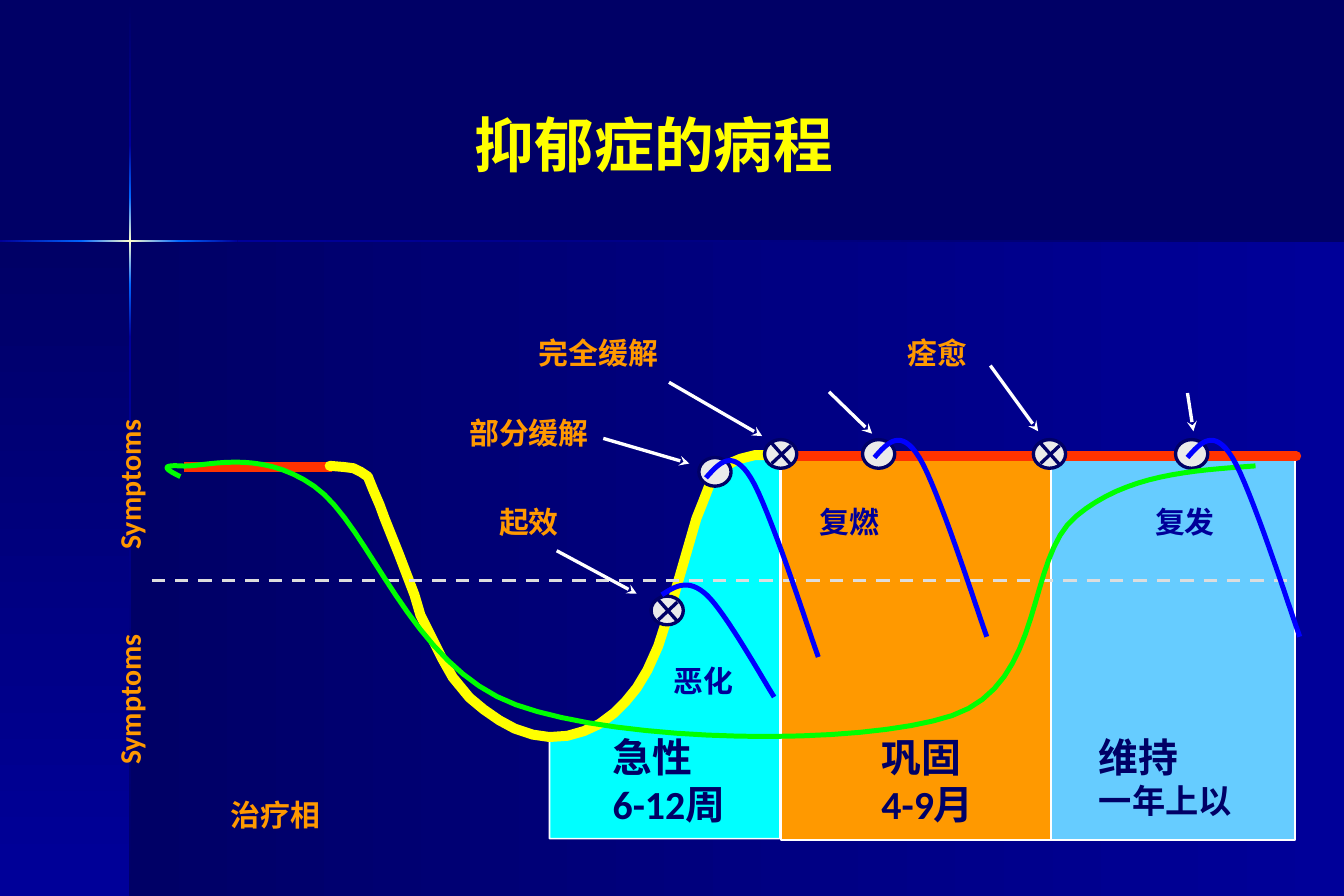
from dataclasses import dataclass

from pptx import Presentation, oxml
from pptx import util as u
from pptx.dml import color
from pptx.enum import dml, shapes, text
from pptx.oxml import ns

COLUMNS, ROWS = 112.5, 75
WIDTH, HEIGHT = u.Inches(11.25), u.Inches(7.5)
COLOURS = {
    "navy": "000066", "blue": "000099", "glow": "0066FF", "spark": "FFFFCC",
    "yellow": "FFFF00", "orange": "FF9900", "cyan": "00FFFF", "sky": "66CCFF",
    "red": "FF3300", "green": "00FF00", "pure blue": "0000FF",
    "white": "FFFFFF", "pale": "EAEAEA", "grey": "DDDDDD",
}
Point = tuple[float, float]


@dataclass
class Panel:
    left: float
    top: float
    width: float
    height: float
    stops: tuple[str, ...]
    angle: int


@dataclass
class Phase:
    left: float
    width: float
    fill: str


@dataclass
class Label:
    left: float
    top: float
    width: float
    height: float
    lines: tuple[str, ...]
    sizes: tuple[int, ...] = (18,)
    colour: str = "orange"
    rotation: int = 0
    wrap: bool = False


@dataclass
class Stroke:
    start: Point
    end: Point
    colour: str = "white"
    weight: float = 2
    arrow: bool = False
    dashed: bool = False
    rounded: bool = False


@dataclass
class Marker:
    left: float
    top: float
    crossed: bool


@dataclass
class Relapse:
    left: float
    top: float
    stretch: float = 1


PANELS = [
    Panel(10.9, 20.2, 101.6, 54.8, ("blue", "navy"), 180),
    Panel(0, 20.2, 10.9, 54.8, ("navy", "blue"), 90),
    Panel(10.8, 0.1, 0.2, 12, ("navy", "blue"), 90),
    Panel(10.8, 28.2, 0.2, 46.8, ("blue", "navy"), 90),
    Panel(19.9, 20.1, 92.6, 0.2, ("navy", "blue"), 180),
    Panel(10.8, 23.8, 0.2, 4.4, ("glow", "blue"), 90),
    Panel(10.8, 12.1, 0.2, 4.4, ("blue", "glow"), 90),
    Panel(10.8, 16.5, 0.2, 7.3, ("glow", "spark", "glow"), 90),
    Panel(0, 20.1, 6.9, 0.2, ("glow", "blue"), 180),
    Panel(15, 20.1, 4.9, 0.2, ("blue", "glow"), 180),
    Panel(6.8, 20.1, 8.2, 0.2, ("glow", "spark", "glow"), 180),
]
MAINTENANCE = Phase(86.9, 21.5, "sky")
CONSOLIDATION = Phase(65.4, 22.6, "orange")
ACUTE_AREA = [
    (46, 70.2), (65.3, 70.2), (65.3, 38.2), (63.2, 38.4), (61.9, 38.7), (60.9, 39.1),
    (59.6, 39.9), (59, 40.9), (58.2, 43.1), (57.5, 45.8), (56.7, 49), (55.8, 52),
    (54.9, 54.1), (53.7, 56.5), (52.1, 58.8), (50.8, 60.2), (49.3, 60.9), (47.8, 61.5),
    (46, 61.8),
]
MOOD_COURSE = [
    (27.6, 39), (28.8, 39.1), (29.6, 39.2), (30.2, 39.5), (30.8, 39.9), (31.2, 40.9),
    (31.8, 42.3), (32.2, 43.4), (33.4, 46.4), (34.7, 49.8), (35.2, 51.5), (35.9, 52.9),
    (37, 55.1), (37.9, 56.7), (39.3, 58.4), (40.5, 59.4), (41.8, 60.3), (43.1, 61),
    (44.6, 61.5), (46, 61.7), (47.5, 61.6), (48.9, 61.2), (50.2, 60.6), (51.4, 59.7),
    (52.4, 58.7), (53.3, 57.6), (54.2, 56.1), (55.1, 54.1), (56.1, 51), (57.2, 47.2),
    (58.3, 43.4), (58.9, 41.9), (59.4, 40.6), (60, 39.8), (60.7, 39.1), (61.3, 38.7),
    (62, 38.4), (63.2, 38.1), (65.2, 38.1),
]
CHRONIC_CURVE = [
    (15.1, 39.9), (14.1, 39.4), (13.2, 38.9), (15.1, 39), (16.9, 39.2), (21.6, 37.4),
    (26.3, 40.7), (31, 44), (34.3, 55.8), (43.2, 59), (52.1, 62.2), (71.9, 62.5),
    (79.7, 59.9), (87.6, 57.2), (85.8, 46.7), (90.1, 43.2), (94.3, 39.7), (99.7, 39.4),
    (105.1, 39),
]
RELAPSE_CURVE = [(0, 0), (1.1, -1.25), (2.2, -2.5), (3.75, 0), (5.3, 2.5), (8.5, 12.5), (9.4, 15)]
RELAPSES = [Relapse(59.1, 40), Relapse(73.2, 38.3), Relapse(99.4, 38.3),
            Relapse(55.4, 49.8, 0.57)]
BASELINES = [Stroke((65.2, 38.2), (108.5, 38.2), "red", 6, rounded=True),
             Stroke((12.7, 48.6), (108.4, 48.6), "grey", dashed=True)]
MARKERS = [Marker(58.5, 38.3, False), Marker(72.2, 36.8, False), Marker(98.4, 36.8, False),
           Marker(64, 36.8, True), Marker(54.5, 49.9, True), Marker(86.5, 36.8, True)]
CROSS = [((0.6, 0.3), (2.2, 2.1)), ((2.2, 0.5), (0.6, 2))]
ARROWS = [((50.5, 36.7), (57.7, 38.8)), ((46.6, 46.1), (53.3, 49.7)), ((56, 32), (63.8, 36.5)),
          ((69.4, 32.8), (73, 36.3)), ((82.9, 30.6), (86.9, 36.1)), ((99.4, 32.9), (99.9, 36.1))]
LABELS = [
    Label(40.8, 41.7, 7, 4, ("起效",)),
    Label(38.3, 34.2, 12, 4, ("部分缓解",)),
    Label(67.6, 41.7, 7, 4, ("复燃",), colour="blue"),
    Label(75, 27.5, 7, 4, ("痊愈",)),
    Label(95.7, 41.7, 7, 4, ("复发",), colour="blue"),
    Label(91, 60.8, 16.9, 8.3, ("维持", "一年上以"), (24, 20), "navy", wrap=True),
    Label(72.8, 60.8, 11, 9, ("巩固", "4-9月"), (24, 24), "navy"),
    Label(50.3, 60.8, 13, 9, ("急性", "6-12周"), (24, 24), "navy"),
    Label(18.3, 66.2, 9.5, 4, ("治疗相",)),
    Label(3.2, 37.4, 15.2, 4, ("Symptoms",), rotation=270),
    Label(3.2, 55.4, 15.2, 4, ("Symptoms",), rotation=270),
    Label(44.1, 27.5, 12, 4, ("完全缓解",)),
    Label(55.4, 55, 7, 4, ("恶化",), colour="blue"),
]


def across(columns: float) -> int:
    return round(WIDTH * columns / COLUMNS)


def down(rows: float) -> int:
    return round(HEIGHT * rows / ROWS)


def rgb(name: str) -> color.RGBColor:
    return color.RGBColor.from_string(COLOURS[name])


def place(left: float, top: float, width: float, height: float) -> tuple[int, ...]:
    return across(left), down(top), across(width), down(height)


def outline(shape, colour: str, weight: float, rounded: bool = False) -> None:
    shape.line.color.rgb = rgb(colour)
    shape.line.width = u.Pt(weight)
    if rounded:
        shape.line._get_or_add_ln().set("cap", "rnd")


def draw_panel(page, panel: Panel) -> None:
    shape = page.shapes.add_shape(shapes.MSO_SHAPE.RECTANGLE,
                                  *place(panel.left, panel.top, panel.width, panel.height))
    shape.shadow.inherit = False
    shape.line.fill.background()
    shape.fill.background()
    step = 100000 // (len(panel.stops) - 1)
    stops = "".join(f'<a:gs pos="{index * step}"><a:srgbClr val="{COLOURS[name]}"/></a:gs>'
                    for index, name in enumerate(panel.stops))
    gradient = oxml.parse_xml(f'<a:gradFill {ns.nsdecls("a")}><a:gsLst>{stops}</a:gsLst>'
                              f'<a:lin ang="{panel.angle * 60000}" scaled="0"/></a:gradFill>')
    properties = shape._element.spPr
    properties.replace(properties.find(ns.qn("a:noFill")), gradient)


def draw_solid(page, kind, area: tuple[int, ...], fill: str, line: str, weight: float) -> None:
    shape = page.shapes.add_shape(kind, *area)
    shape.shadow.inherit = False
    shape.fill.solid()
    shape.fill.fore_color.rgb = rgb(fill)
    outline(shape, line, weight)


def draw_phase(page, phase: Phase) -> None:
    draw_solid(page, shapes.MSO_SHAPE.RECTANGLE, place(phase.left, 38.5, phase.width, 31.8),
               phase.fill, "white", 1)


def draw_path(page, points: list[Point], line: str, weight: float,
              fill: str = "", rounded: bool = False) -> None:
    corners = [(across(x), down(y)) for x, y in points]
    builder = page.shapes.build_freeform(*corners[0], scale=1.0)
    builder.add_line_segments(corners[1:], close=bool(fill))
    shape = builder.convert_to_shape()
    shape.shadow.inherit = False
    if fill:
        shape.fill.solid()
        shape.fill.fore_color.rgb = rgb(fill)
    else:
        shape.fill.background()
    outline(shape, line, weight, rounded)


def bezier(controls: list[Point], steps: int = 16) -> list[Point]:
    points = [controls[0]]
    for first in range(0, len(controls) - 1, 3):
        segment = controls[first:first + 4]
        for step in range(1, steps + 1):
            t = step / steps
            weights = ((1 - t) ** 3, 3 * t * (1 - t) ** 2, 3 * t * t * (1 - t), t ** 3)
            points.append((sum(w * x for w, (x, _) in zip(weights, segment)),
                           sum(w * y for w, (_, y) in zip(weights, segment))))
    return points


def draw_stroke(page, stroke: Stroke) -> None:
    (x1, y1), (x2, y2) = stroke.start, stroke.end
    line = page.shapes.add_connector(shapes.MSO_CONNECTOR.STRAIGHT,
                                     across(x1), down(y1), across(x2), down(y2))
    outline(line, stroke.colour, stroke.weight, stroke.rounded)
    if stroke.dashed:
        line.line.dash_style = dml.MSO_LINE.DASH
    if stroke.arrow:
        line.line._get_or_add_ln().append(
            oxml.parse_xml(f'<a:tailEnd {ns.nsdecls("a")} type="stealth"/>'))
    line._element.spPr.append(oxml.parse_xml(f'<a:effectLst {ns.nsdecls("a")}/>'))


def draw_marker(page, marker: Marker) -> None:
    draw_solid(page, shapes.MSO_SHAPE.OVAL, place(marker.left, marker.top, 2.7, 2.4),
               "pale", "navy", 2)
    for ends in CROSS if marker.crossed else []:
        start, end = [(marker.left + x, marker.top + y) for x, y in ends]
        draw_stroke(page, Stroke(start, end, "navy"))


def draw_label(page, label: Label, face: str = "Calibri"):
    box = page.shapes.add_textbox(*place(label.left, label.top, label.width, label.height))
    box.rotation = label.rotation
    frame = box.text_frame
    frame.word_wrap = label.wrap
    frame.text = "\n".join(label.lines)
    for para, size in zip(frame.paragraphs, label.sizes):
        para.font.name, para.font.size, para.font.bold = face, u.Pt(size), True
        para.font.color.rgb = rgb(label.colour)
    return frame


def main() -> None:
    deck = Presentation()
    deck.slide_width, deck.slide_height = WIDTH, HEIGHT
    page = deck.slides.add_slide(deck.slide_layouts[6])
    page.background.fill.solid()
    page.background.fill.fore_color.rgb = rgb("navy")
    for panel in PANELS:
        draw_panel(page, panel)
    title = draw_label(page, Label(12.1, 5.8, 85.3, 12.5, ("抑郁症的病程",), (36,), "yellow",
                                   wrap=True), "Karla")
    title.vertical_anchor = text.MSO_ANCHOR.MIDDLE
    title.paragraphs[0].alignment = text.PP_ALIGN.CENTER
    draw_phase(page, MAINTENANCE)
    draw_path(page, ACUTE_AREA, "white", 1, fill="cyan")
    draw_phase(page, CONSOLIDATION)
    draw_stroke(page, Stroke((15.4, 39.1), (27.8, 39.1), "red", 6))
    draw_path(page, MOOD_COURSE, "yellow", 6, rounded=True)
    for baseline in BASELINES:
        draw_stroke(page, baseline)
    for marker in MARKERS:
        draw_marker(page, marker)
    for label in LABELS:
        draw_label(page, label)
    for start, end in ARROWS:
        draw_stroke(page, Stroke(start, end, arrow=True))
    draw_path(page, bezier(CHRONIC_CURVE), "green", 3)
    for relapse in RELAPSES:
        controls = [(relapse.left + x, relapse.top + y * relapse.stretch) for x, y in RELAPSE_CURVE]
        draw_path(page, bezier(controls), "pure blue", 3)
    deck.save("out.pptx")


if __name__ == "__main__":
    main()
